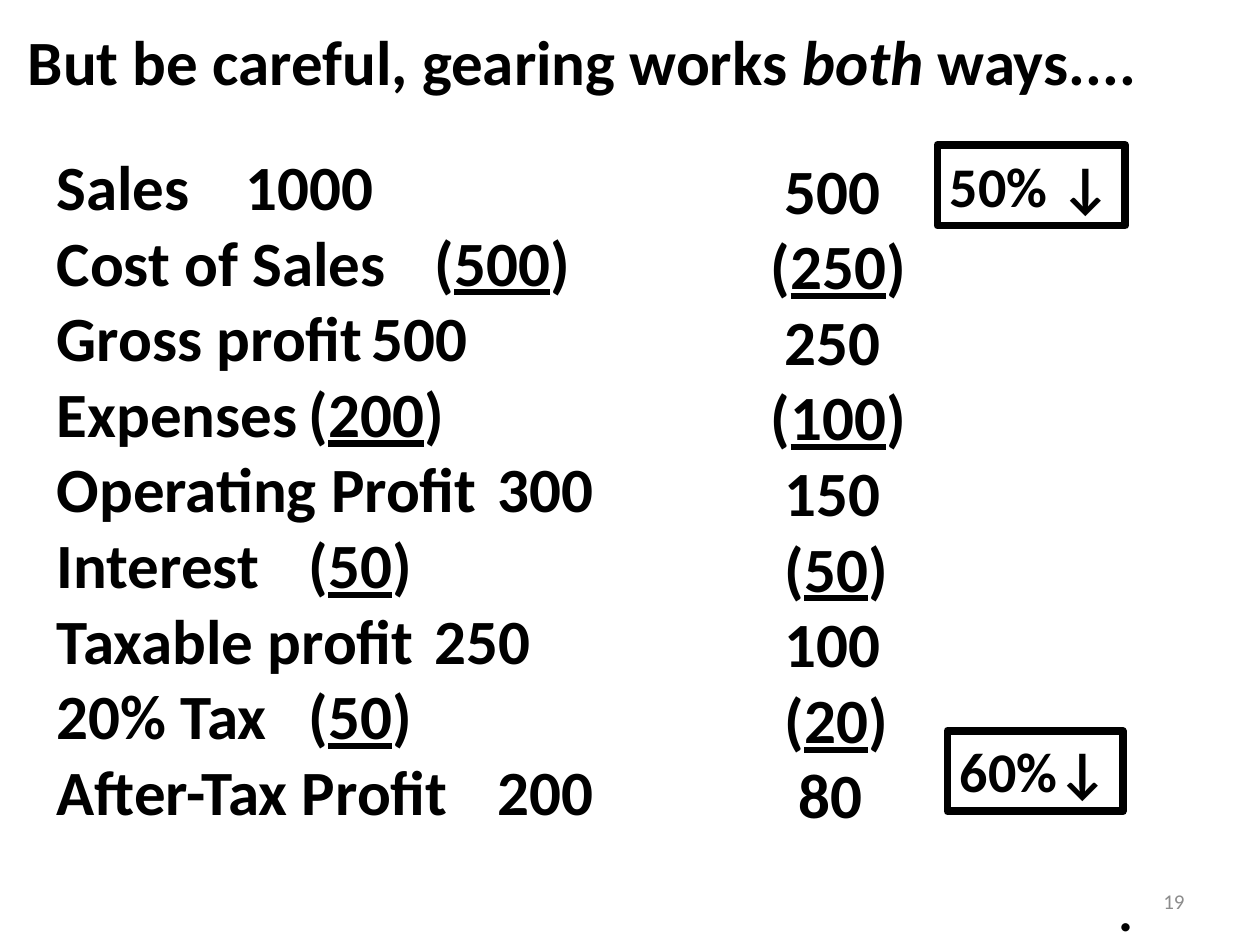
from lxml.etree import SubElement
from pptx import Presentation
from pptx.dml.color import RGBColor
from pptx.enum.shapes import MSO_SHAPE as Shape
from pptx.enum.text import MSO_ANCHOR as Anchor, MSO_AUTO_SIZE as AutoSize, PP_ALIGN as Align
from pptx.oxml.ns import qn
from pptx.util import Inches, Pt

BLACK = RGBColor(0, 0, 0)
GREY = RGBColor(0x8C, 0x8C, 0x8C)
FONT = "Calibri"

# Content: label, value before, indent steps, value after, indent steps
TITLE = [("But be careful, gearing works ", False), ("both", True), (" ways....", False)]
STATEMENT = [
    ("Sales", "1000", 0, "500", 1),
    ("Cost of Sales", "(500)", 0, "(250)", 0),
    ("Gross profit", "500", 1, "250", 1),
    ("Expenses", "(200)", 0, "(100)", 0),
    ("Operating Profit", "300", 1, "150", 1),
    ("Interest", "(50)", 1, "(50)", 1),
    ("Taxable profit", "250", 1, "100", 1),
    ("20% Tax", "(50)", 1, "(20)", 1),
    ("After-Tax Profit", "200", 1, "80", 2),
]
CHANGES = [("50% ↓", 7.44, 1.15, 1.49), ("60%↓", 7.52, 5.8, 1.39)]
VALUE_TAB = 4.0
STEP = 0.11


def place(shape, left, top, width, height):
    shape.left, shape.top = Inches(left), Inches(top)
    shape.width, shape.height = Inches(width), Inches(height)


def set_frame(shape, wrap=True, anchor=Anchor.TOP):
    frame = shape.text_frame
    frame.auto_size = AutoSize.NONE
    frame.word_wrap = wrap
    frame.vertical_anchor = anchor
    return frame


def add_span(para, text, size=36, color=BLACK, bold=True, italic=False, underline=False):
    span = para.add_run()
    span.text = text
    font = span.font
    font.name, font.size, font.color.rgb = FONT, Pt(size), color
    font.bold, font.italic, font.underline = bold, italic, underline


def add_value(para, value):
    """Deductions stand in brackets with the figure underlined."""
    if value.startswith("("):
        add_span(para, "(")
        add_span(para, value.strip("()"), underline=True)
        add_span(para, ")")
    else:
        add_span(para, value)


def add_row(frame, index, indent=0.0, tab=None):
    para = frame.paragraphs[0] if index == 0 else frame.add_paragraph()
    para.alignment = Align.LEFT
    para.space_before = Pt(0)
    props = para._p.get_or_add_pPr()
    props.set("marL", str(Inches(indent)))
    props.set("indent", "0")
    SubElement(props, qn("a:buNone"))
    if tab is not None:
        stops = SubElement(props, qn("a:tabLst"))
        SubElement(stops, qn("a:tab"), pos=str(Inches(tab)), algn="l")
    return para


def add_box(page, text, left, top, width, height, align=Align.LEFT,
            anchor=Anchor.TOP, **style):
    box = page.shapes.add_textbox(0, 0, 0, 0)
    place(box, left, top, width, height)
    para = set_frame(box, anchor=anchor).paragraphs[0]
    para.alignment = align
    add_span(para, text, **style)


deck = Presentation()
deck.slide_width, deck.slide_height = Inches(10), Inches(7.5)
page = deck.slides.add_slide(deck.slide_layouts[1])

# Title
title = page.shapes.title
place(title, 0.12, 0.13, 9.1, 0.71)
heading = set_frame(title, wrap=False).paragraphs[0]
heading.alignment = Align.LEFT
for text, italic in TITLE:
    add_span(heading, text, italic=italic)

# Statement: labels with first values, then the second column of values
body = page.placeholders[1]
place(body, 0.35, 1.12, 8.98, 5.56)
column = page.shapes.add_textbox(0, 0, 0, 0)
place(column, 6.02, 1.15, 1.4, 5.56)
body_frame, column_frame = set_frame(body), set_frame(column)
for index, (label, before, before_steps, after, after_steps) in enumerate(STATEMENT):
    para = add_row(body_frame, index, tab=VALUE_TAB + before_steps * STEP)
    add_span(para, label + "\t")
    add_value(para, before)
    add_value(add_row(column_frame, index, indent=after_steps * STEP), after)

# Framed percentage changes
for text, left, top, width in CHANGES:
    frame_box = page.shapes.add_shape(Shape.RECTANGLE, 0, 0, 0, 0)
    place(frame_box, left, top, width, 0.64)
    frame_box.shadow.inherit = False
    frame_box.fill.background()
    frame_box.line.color.rgb = BLACK
    frame_box.line.width = Pt(4.5)
    para = set_frame(frame_box, wrap=False).paragraphs[0]
    para.alignment = Align.LEFT
    add_span(para, text, size=32)

# Closing dot and page number
add_box(page, ".", 8.78, 6.9, 0.32, 0.64, size=32)
add_box(page, "19", 7.17, 6.95, 2.33, 0.4, align=Align.RIGHT, anchor=Anchor.MIDDLE,
        size=12, color=GREY, bold=False)

deck.save("out.pptx")
